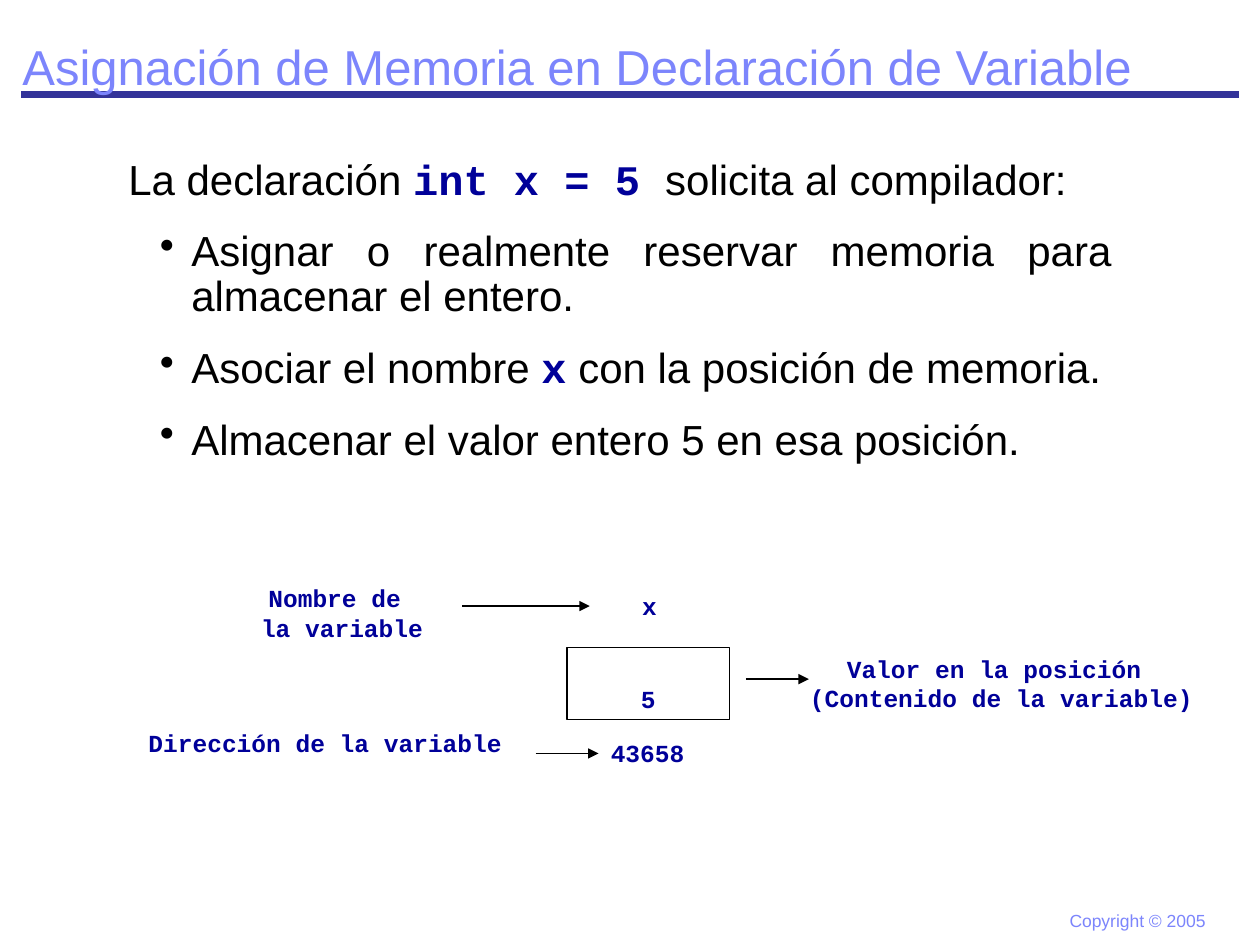
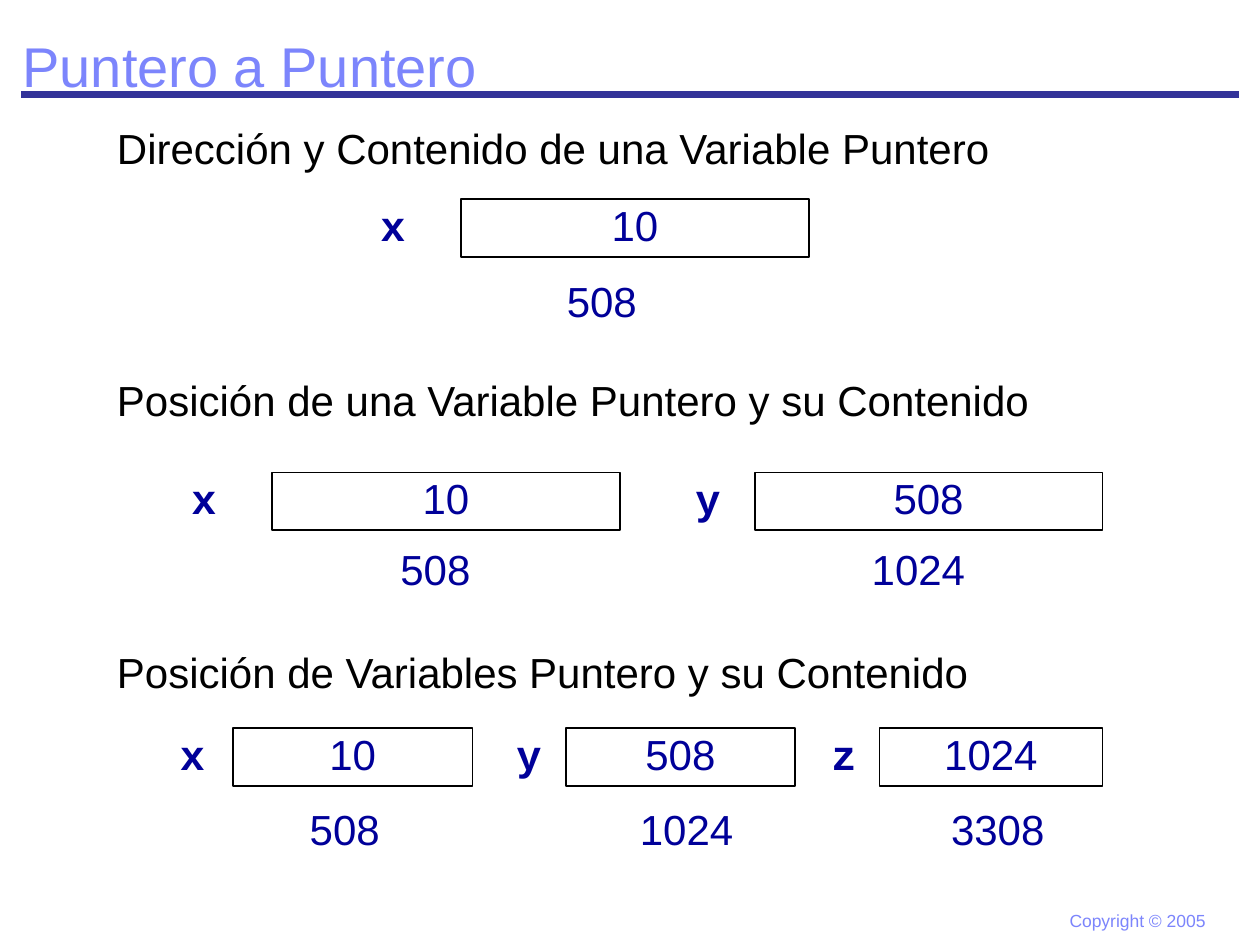
from lxml import etree
from pptx import Presentation
from pptx import util as u
from pptx.dml.color import RGBColor
from pptx.enum import shapes, text
from pptx.oxml import ns

BAND, LILAC, NAVY, BLACK = "333399", "7C85FC", "000099", "000000"
SANS, MONO = "Arial", "Courier New"
LEFT, CENTER = text.PP_ALIGN.LEFT, text.PP_ALIGN.CENTER
rgb = RGBColor.from_string


def add_text(s, at, content, size, color, font=SANS, bold=False, align=LEFT,
             anchor=text.MSO_ANCHOR.TOP, spacing=None, outline=None):
    """Add a text box, or an outlined rectangle when outline is a width."""
    box = [u.Inches(v) for v in at]
    if outline:
        sp = s.shapes.add_shape(shapes.MSO_SHAPE.RECTANGLE, *box)
        sp.shadow.inherit = False
        sp.fill.background()
        sp.line.color.rgb = rgb(BLACK)
        sp.line.width = u.Pt(outline)
    else:
        sp = s.shapes.add_textbox(*box)
    tf = sp.text_frame
    tf.word_wrap = True
    tf.vertical_anchor = anchor
    tf.text = content
    for p in tf.paragraphs:
        p.alignment = align
        p.line_spacing = spacing
        for r in p.runs:
            r.font.name, r.font.size, r.font.bold = font, u.Pt(size), bold
            r.font.color.rgb = rgb(color)
    return sp


def add_line(s, x1, y1, x2, y2, color, width, arrow=False):
    ln = s.shapes.add_connector(shapes.MSO_CONNECTOR.STRAIGHT, u.Inches(x1),
                                u.Inches(y1), u.Inches(x2), u.Inches(y2))
    ln.line.color.rgb = rgb(color)
    ln.line.width = u.Pt(width)
    if arrow:
        tail = etree.SubElement(ln.line._get_or_add_ln(), ns.qn("a:tailEnd"))
        tail.set("type", "triangle")
    etree.SubElement(ln._element.spPr, ns.qn("a:effectLst"))


prs = Presentation()
prs.slide_width, prs.slide_height = u.Inches(10), u.Inches(7.5)

# Shared frame: band, footer and title
titles = [("Asignación de Memoria en Declaración de Variable", 28),
          ("Puntero a Puntero", 32)]
for title, size in titles:
    s = prs.slides.add_slide(prs.slide_layouts[6])
    add_line(s, 0.17, 0.75, 9.83, 0.75, BAND, 4.5)
    add_text(s, (8.39, 7.17, 1.4, 0.27), "Copyright © 2005", 10, LILAC)
    add_text(s, (0.08, 0.2, 9.67, 0.64), title, size, LILAC,
             anchor=text.MSO_ANCHOR.MIDDLE)

# Slide 1: what the declaration asks for; odd pieces are code
s = prs.slides[0]
body = [
    ["La declaración ", "int x = 5 ", "solicita al compilador:"],
    ["Asignar o realmente reservar memoria para almacenar el entero."],
    ["Asociar el nombre ", "x", " con la posición de memoria."],
    ["Almacenar el valor entero 5 en esa posición."],
]
tf = add_text(s, (0.92, 1.17, 8, 2.57), "", 24, BLACK).text_frame
for i, pieces in enumerate(body):
    p = tf.add_paragraph() if i else tf.paragraphs[0]
    if i:
        pPr = p._p.get_or_add_pPr()
        pPr.set("marL", str(u.Inches(0.5)))
        pPr.set("indent", str(u.Inches(-0.25)))
        etree.SubElement(pPr, ns.qn("a:buChar")).set("char", "•")
        p.alignment = text.PP_ALIGN.JUSTIFY
        p.line_spacing = 0.9
        p.space_before = u.Pt(15)
    for j, piece in enumerate(pieces):
        r = p.add_run()
        r.text = piece
        code = j % 2 == 1
        r.font.name, r.font.size, r.font.bold = MONO if code else SANS, u.Pt(24), code
        r.font.color.rgb = rgb(NAVY if code else BLACK)

# Slide 1: memory cell with its labels
add_text(s, (4.5, 5.14, 1.29, 0.57), "5", 14, NAVY, MONO, True, CENTER,
         text.MSO_ANCHOR.BOTTOM, outline=0.75)
labels = [
    ((4.9, 4.64, 0.51, 0.34), "x", CENTER),
    ((1.87, 4.58, 1.69, 0.57), "Nombre de \nla variable", CENTER),
    ((6.25, 5.14, 3.4, 0.57), "Valor en la posición \n(Contenido de la variable)", CENTER),
    ((4.69, 5.81, 0.9, 0.34), "43658", CENTER),
    ((1.08, 5.73, 3.12, 0.34), "Dirección de la variable", LEFT),
]
for at, label, align in labels:
    add_text(s, at, label, 14, NAVY, MONO, True, align)
for x1, x2, y in [(3.67, 4.68, 4.81), (5.92, 6.42, 5.39), (4.25, 4.75, 5.98)]:
    add_line(s, x1, y, x2, y, BLACK, 0.75, arrow=True)

# Slide 2: each section has a heading, the tops of its cells and addresses,
# and cells of (name, name x, cell x, cell width, value, address, address x)
s = prs.slides[1]
sections = [
    ("Dirección y Contenido de una Variable Puntero", 0.92, 1.58, 2.18,
     [("x", 2.92, 3.66, 2.76, "10", "508", 4.4)]),
    ("Posición de una Variable Puntero y su Contenido", 2.92, 3.75, 4.31,
     [("x", 1.42, 2.16, 2.76, "10", "508", 3.08),
      ("y", 5.42, 5.99, 2.76, "508", "1024", 6.82)]),
    ("Posición de Variables Puntero y su Contenido", 5.08, 5.78, 6.37,
     [("x", 1.33, 1.85, 1.9, "10", "508", 2.36),
      ("y", 4, 4.49, 1.82, "508", "1024", 4.98),
      ("z", 6.5, 6.98, 1.77, "1024", "3308", 7.45)]),
]
for heading, top, cell_y, address_y, cells in sections:
    add_text(s, (0.83, top, 8.27, 0.5), heading, 24, BLACK)
    for name, name_x, x, w, value, address, address_x in cells:
        add_text(s, (x, cell_y, w, 0.46), value, 24, NAVY, align=CENTER,
                 spacing=0.9, outline=1)
        add_text(s, (name_x, cell_y, 0.5, 0.46), name, 24, NAVY, MONO, True,
                 spacing=0.9)
        add_text(s, (address_x, address_y, 1.3, 0.46), address, 24, NAVY,
                 spacing=0.9)

prs.save("out.pptx")
